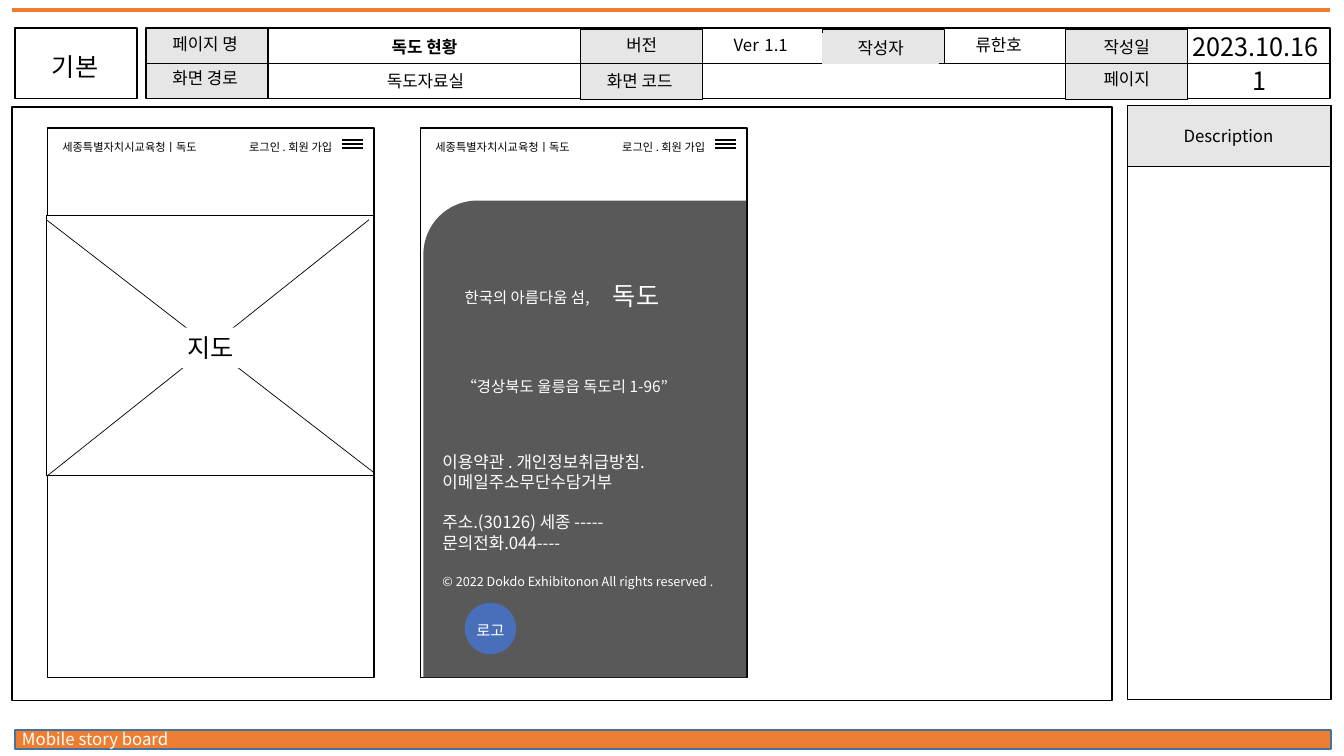
from pptx import Presentation
from pptx import util as u
from pptx.dml.color import RGBColor
from pptx.enum import shapes, text
from pptx.oxml.ns import qn
from lxml import etree

FONT = "Noto Sans CJK KR"
BLACK, WHITE, GREY, ORANGE = "000000", "FFFFFF", "E7E6E6", "ED7D31"
RECT = shapes.MSO_SHAPE.RECTANGLE
LEFT, CENTER, RIGHT = text.PP_ALIGN.LEFT, text.PP_ALIGN.CENTER, text.PP_ALIGN.RIGHT


def rgb(value):
    return RGBColor.from_string(value)


def inches(*values):
    return [u.Inches(v) for v in values]


def style_run(r, size, color=BLACK, bold=False):
    """Format a run, naming the font for Latin and Korean letters alike."""
    r.font.size, r.font.bold, r.font.name = u.Pt(size), bold, FONT
    r.font.color.rgb = rgb(color)
    ea = etree.SubElement(r.font._element, qn("a:ea"))
    ea.set("typeface", FONT)


def write(sp, words, size, color=BLACK, align=CENTER, wrap=True, bold=False):
    tf = sp.text_frame
    tf.text = words
    tf.word_wrap = wrap
    tf.auto_size = text.MSO_AUTO_SIZE.NONE
    tf.vertical_anchor = text.MSO_ANCHOR.TOP
    tf.margin_left = tf.margin_right = u.Inches(0.1)
    tf.margin_top = tf.margin_bottom = u.Inches(0.05)
    for p in tf.paragraphs:
        p.alignment = align
        for r in p.runs:
            style_run(r, size, color, bold)


def label(parts, box, words, size=12, **look):
    sp = parts.add_textbox(*inches(*box))
    write(sp, words, size, **look)
    return sp


def shape(parts, box, fill=None, line=BLACK, width=1, kind=RECT):
    sp = parts.add_shape(kind, *inches(*box))
    sp.shadow.inherit = False
    if fill:
        sp.fill.solid()
        sp.fill.fore_color.rgb = rgb(fill)
    else:
        sp.fill.background()
    if line:
        sp.line.color.rgb = rgb(line)
        sp.line.width = u.Pt(width)
    else:
        sp.line.fill.background()
    return sp


def rule(parts, start, end, color=BLACK, width=1):
    cx = parts.add_connector(shapes.MSO_CONNECTOR.STRAIGHT, *inches(*start, *end))
    cx.line.color.rgb = rgb(color)
    cx.line.width = u.Pt(width)
    etree.SubElement(cx._element.spPr, qn("a:effectLst"))
    return cx


def page_frame(s):
    parts = s.shapes
    rule(parts, (0.12, 0.1), (13.19, 0.1), ORANGE, 3)
    shape(parts, (0.15, 7.24, 13.05, 0.19), ORANGE, "43739E")
    label(parts, (0.12, 7.18, 3.2, 0.3), "Mobile story board", color=WHITE, align=LEFT)
    shape(parts, (0.12, 1.06, 10.91, 5.89))


def page_header(s, x, y, w, h):
    parts = s.shapes
    shape(parts, (x, y, 1.21, h))
    label(parts, (x + 0.02, y + 0.18, 1.15, 0.42), "기본", 18)

    left = x + 1.3
    outline = shape(parts, (left, y, w - 1.3, h))
    for dx, dy, height in ((0, 0, h), (4.31, 0.01, h), (6.71, 0.01, 0.34), (9.12, 0.01, h)):
        shape(parts, (left + dx, y + dy, 1.21, height), GREY)
    middle = rule(parts, (left, y + h / 2), (x + w, y + h / 2), width=0.5)
    middle.begin_connect(outline, 1)
    middle.end_connect(outline, 3)

    author = shape(parts, (left + 6.71, y + 0.05, 1.15, 0.3), None, GREY, 0.75)
    write(author, "작성자", 12)
    cells = (
        (0.01, 0.01, 1.15, "페이지 명", 12),
        (0.01, 0.34, 1.15, "화면 경로", 12),
        (4.34, 0.02, 1.15, "버전", 12),
        (4.32, 0.37, 1.15, "화면 코드", 12),
        (9.15, 0.04, 1.15, "작성일", 12),
        (9.15, 0.35, 1.15, "페이지", 12),
        (7.45, 0.02, 2.01, "류한호", 12),
        (10, -0.02, 2.01, "2023.10.16", 18),
        (1.62, 0.37, 2.3, "독도자료실", 12),
        (10.35, 0.32, 1.39, "1", 18),
    )
    for dx, dy, width, words, size in cells:
        label(parts, (left + dx, y + dy, width, 0.3), words, size)

    version = label(parts, (left + 5.09, y - 0.07, 2.01, 0.4), "Ver")
    p = version.text_frame.paragraphs[0]
    for words, size in ((" ", 18), ("1.1", 12)):
        r = p.add_run()
        r.text = words
        style_run(r, size)

    title = parts.title
    title.left, title.top, title.width, title.height = inches(left + 1.61, y + 0.03, 2.3, 0.3)
    write(title, "독도 현황", 12, bold=True)


def description_panel(s, x, y, w, h):
    shape(s.shapes, (x, y, w, h))
    shape(s.shapes, (x, y, w, 0.6), GREY)
    label(s.shapes, (x + 0.14, y + 0.15, 1.73, 0.3), "Description")


def phone(s, x, y, w, h):
    """Phone outline with its top bar: site name, login links and menu icon."""
    parts = s.shapes
    shape(parts, (x, y, w, h))
    bar = ((0.05, 1.87, "세종특별자치시교육청ㅣ독도", LEFT),
           (1.71, 1.24, "로그인 . 회원 가입 ", RIGHT))
    for dx, width, words, align in bar:
        sp = shape(parts, (x + dx, y + 0.07, width, 0.24), WHITE, None)
        write(sp, words, 8, align=align)
    for i in range(3):
        line_y = y + 0.12 + 0.04 * i
        rule(parts, (x + 2.92, line_y), (x + 3.13, line_y))


def map_area(s, x, y, w, h):
    parts = s.shapes
    shape(parts, (x, y, w, h), WHITE)
    rule(parts, (x + 0.01, y + h), (x + w - 0.05, y + 0.04), width=0.5)
    rule(parts, (x + w, y + h - 0.03), (x, y + 0.04), width=0.5)
    write(shape(parts, (x + 1.09, y + 1.11, 1.07, 0.4), WHITE, None), "지도", 18)


def island_panel(s, x, y, w, h):
    parts = s.shapes
    panel = shape(parts, (x, y, w, h), "595959", None,
                  kind=shapes.MSO_SHAPE.ROUND_1_RECTANGLE)
    panel._element.spPr.find(qn("a:xfrm")).set("flipH", "1")

    look = dict(color=WHITE, align=LEFT)
    label(parts, (x + 0.31, y + 0.82, 1.58, 0.29), "한국의 아름다움 섬,", 11, wrap=False, **look)
    label(parts, (x + 1.78, y + 0.74, 0.71, 0.4), "독도", 18, wrap=False, **look)
    label(parts, (x + 0.28, y + 1.7, 2.34, 0.29), "“경상북도 울릉읍 독도리 1-96”", 11,
          wrap=False, **look)
    contact = label(parts, (x + 0.09, y + 2.44, 2.96, 1.11),
                    "이용약관 . 개인정보취급방침.이메일주소무단수담거부\n"
                    "주소.(30126) 세종 -----\n문의전화.044----", **look)
    contact.text_frame.paragraphs[1].space_before = u.Pt(14.5)

    badge = parts.add_group_shape().shapes
    shape(badge, (x + 0.41, y + 3.99, 0.51, 0.51), "496FBB", None, kind=shapes.MSO_SHAPE.OVAL)
    label(badge, (x + 0.3, y + 4.12, 0.73, 0.17), "로고", 11, color=WHITE)
    label(parts, (x + 0.09, y + 3.65, 3.01, 0.25),
          "© 2022 Dokdo Exhibitonon All rights reserved .", 9, **look)


def main():
    prs = Presentation()
    prs.slide_width, prs.slide_height = inches(13.33, 7.5)
    s = prs.slides.add_slide(prs.slide_layouts[5])
    page_frame(s)
    page_header(s, 0.15, 0.28, 13.04, 0.7)
    description_panel(s, 11.18, 1.05, 2.02, 5.89)
    for x in (0.47, 4.17):
        phone(s, x, 1.27, 3.24, 5.45)
    map_area(s, 0.46, 2.14, 3.25, 2.58)
    island_panel(s, 4.2, 1.99, 3.2, 4.73)
    # The title is the first part made, so lift it above the header boxes.
    s.shapes._spTree.append(s.shapes.title._element)
    prs.save("out.pptx")


if __name__ == "__main__":
    main()
